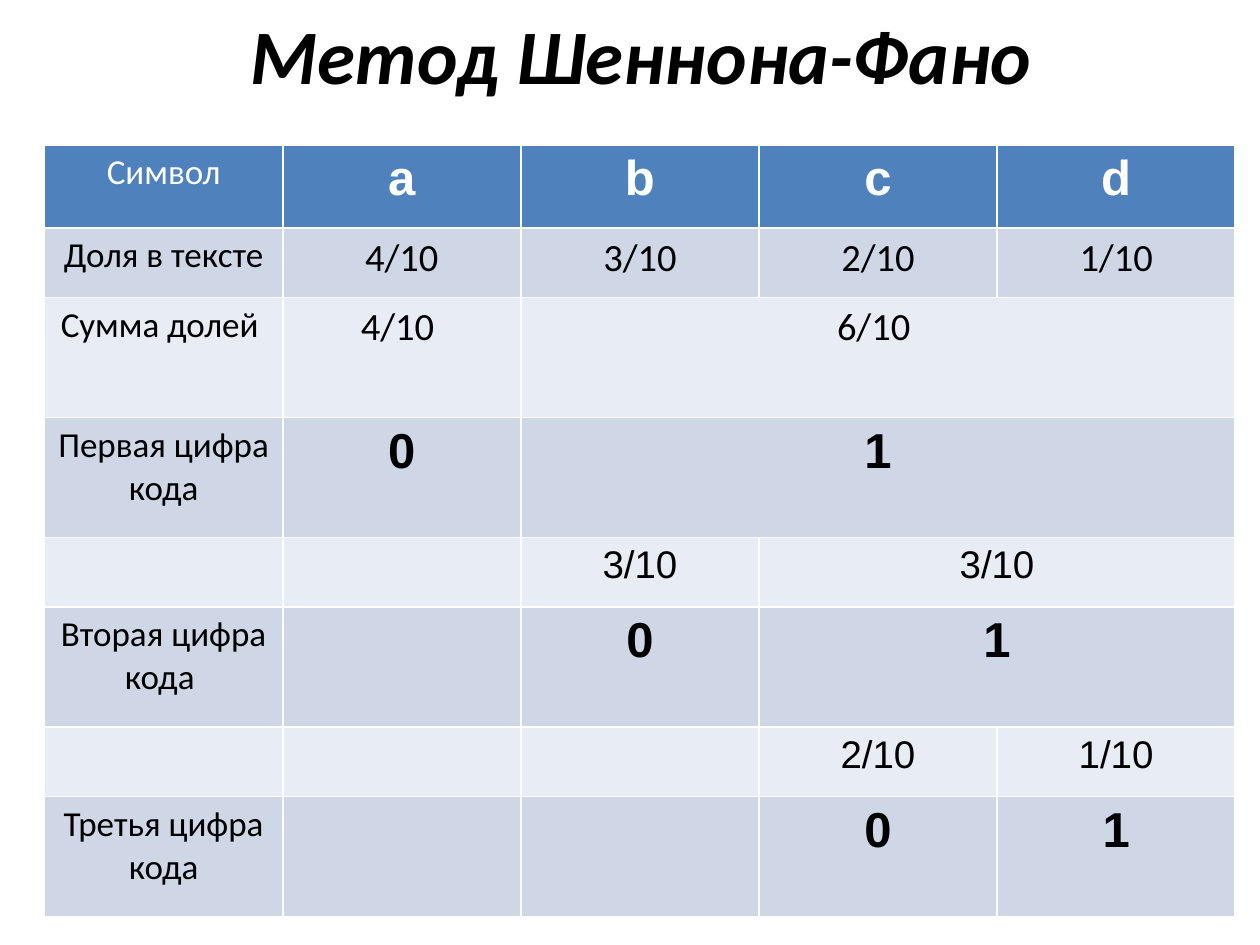
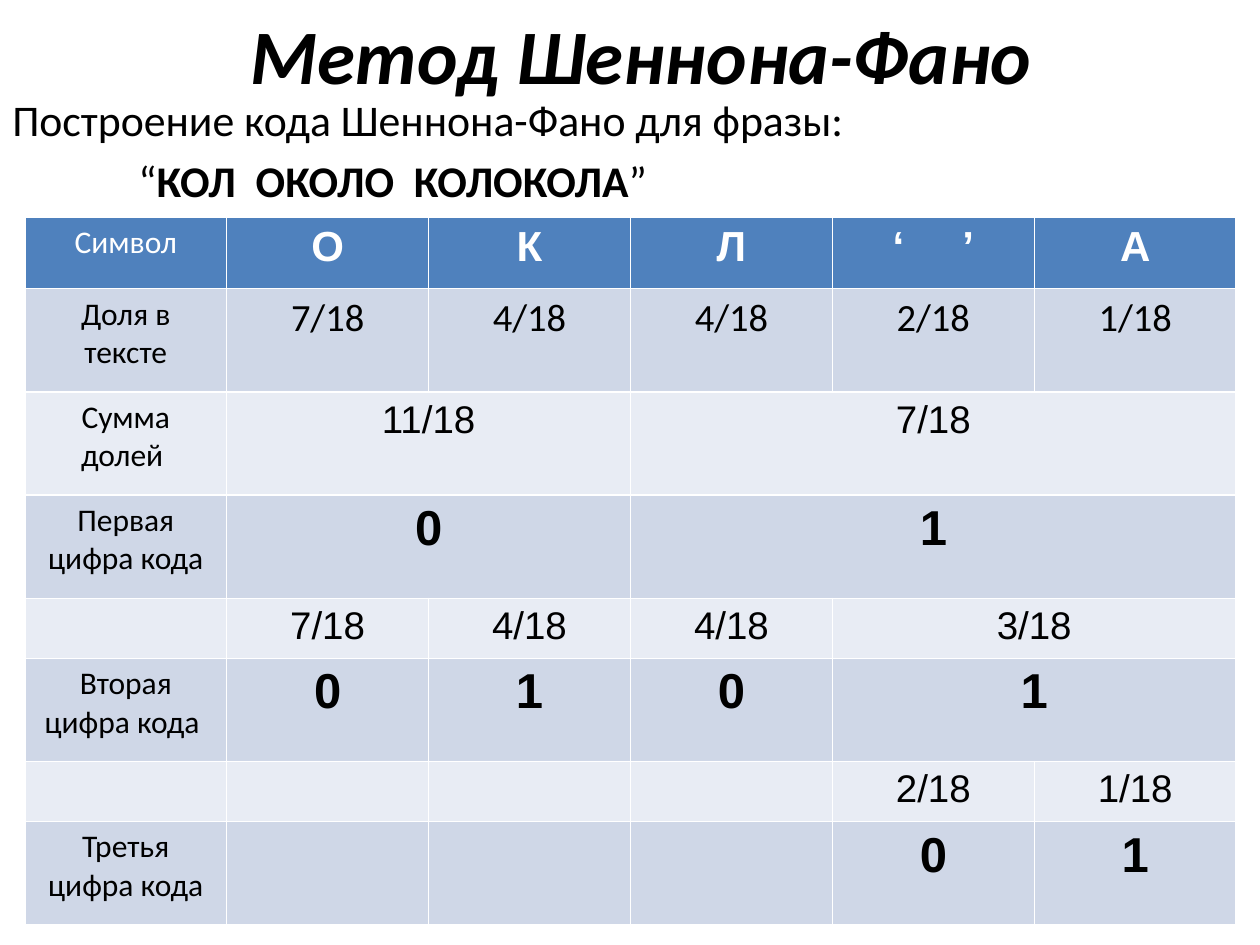
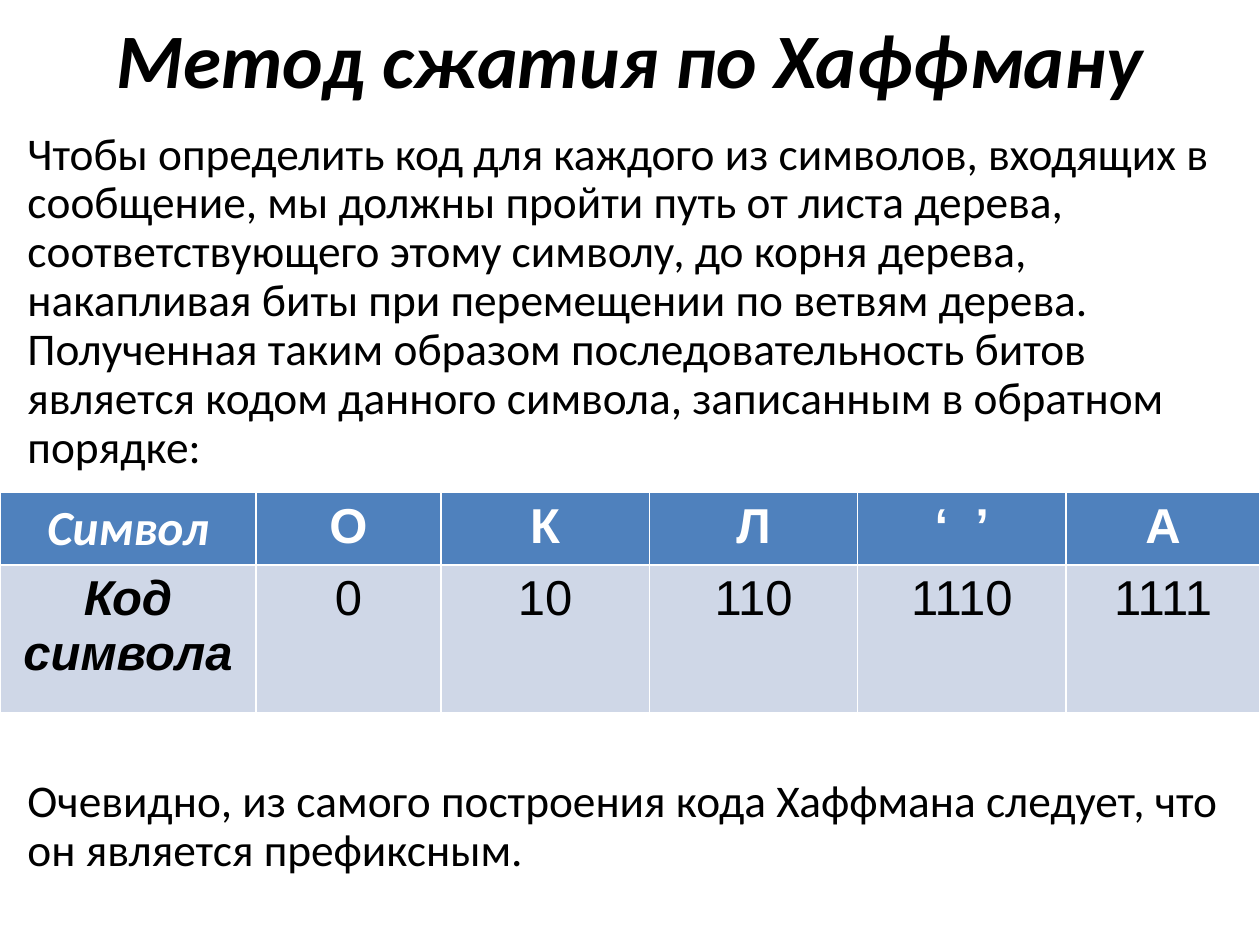
"""Builds three slides on Shannon-Fano and Huffman codes."""
import pptx
import pptx.dml.color
import pptx.enum.text
import pptx.util
from lxml import etree
from pptx.util import Cm, Pt

BLUE, DARK, PALE = "4F81BD", "CFD7E7", "E8ECF4"
WHITE, BLACK = "FFFFFF", "000000"
SANS, HEAD = "Arial", "Calibri"
MID = pptx.enum.text.PP_ALIGN.CENTER
NONE = pptx.enum.text.MSO_AUTO_SIZE.NONE
FANO = "Метод Шеннона-Фано"

LATIN = [
    ["Символ", "a", "b", "c", "d"],
    ["Доля в тексте", "4/10", "3/10", "2/10", "1/10"],
    ["Сумма долей ", "4/10 ", "6/10 ", None, None],
    ["Первая цифра кода", "0", "1", None, None],
    ["", "", "3/10", "3/10", None],
    ["Вторая цифра кода ", "", "0", "1", None],
    ["", "", "", "2/10", "1/10"],
    ["Третья цифра кода", "", "", "0", "1"],
]
PHRASE = [
    ["Символ", "О", "К", "Л", "‘     ’", "А"],
    ["Доля в тексте", "7/18", "4/18", "4/18", "2/18", "1/18"],
    ["Сумма долей ", "11/18", None, "7/18", None, None],
    ["Первая цифра кода", "0", None, "1", None, None],
    ["", "7/18", "4/18", "4/18", "3/18", None],
    ["Вторая цифра кода ", "0", "1", "0", "1", None],
    ["", "", "", "", "2/18", "1/18"],
    ["Третья цифра кода", "", "", "", "0", "1"],
]
CODES = [
    ["Символ", "О", "К", "Л", "‘  ’", "А"],
    ["Код символа", "0", "10", "110", "1110", "1111"],
]
PATH = (
    "Чтобы определить код для каждого из символов, входящих в сообщение, "
    "мы должны пройти путь от листа дерева, соответствующего этому символу, "
    "до корня дерева, накапливая биты при перемещении по ветвям дерева. "
    "Полученная таким образом последовательность битов является кодом "
    "данного символа, записанным в обратном порядке:"
)
PREFIX = ("Очевидно, из самого построения кода Хаффмана следует, "
          "что он является префиксным.")


def color(code):
    """Turn a hex string into a colour."""
    return pptx.dml.color.RGBColor.from_string(code)


def style(font, name, size, bold=None, slant=None, ink=BLACK):
    """Format a font."""
    font.name, font.size = name, Pt(size)
    font.bold, font.italic = bold, slant
    font.color.rgb = color(ink)


def place(shape, left, top, width, height):
    """Move and size a shape, in centimetres."""
    shape.left, shape.top = Cm(left), Cm(top)
    shape.width, shape.height = Cm(width), Cm(height)


def indent(para, left):
    """Set the left indent of a paragraph without a bullet."""
    props = para._p.get_or_add_pPr()
    props.set("marL", str(Cm(left)))
    props.set("indent", "0")
    etree.SubElement(props, pptx.oxml.ns.qn("a:buNone"))


def start(deck, layout, text, left, height):
    """Add a slide with a bold slanted title."""
    slide = deck.slides.add_slide(deck.slide_layouts[layout])
    title = slide.shapes.title
    place(title, left, 0, 22.86, height)
    title.text_frame.text = text
    title.text_frame.auto_size = NONE
    para = title.text_frame.paragraphs[0]
    para.alignment = MID
    style(para.font, HEAD, 44, True, True)
    return slide


def grid(slide, data, left, top, widths, heights, look):
    """Add a table where None continues the cell to its left."""
    frame = slide.shapes.add_table(
        len(data), len(widths), Cm(left), Cm(top),
        Cm(sum(widths)), Cm(sum(heights)))
    table = frame.table
    for col, width in zip(table.columns, widths):
        col.width = Cm(width)
    for row, height in zip(table.rows, heights):
        row.height = Cm(height)
    for r, line in enumerate(data):
        for c, text in enumerate(line):
            cell = table.cell(r, c)
            cell.fill.solid()
            cell.fill.fore_color.rgb = color(
                BLUE if r == 0 else DARK if r % 2 else PALE)
            if text:
                cell.text = text
                para = cell.text_frame.paragraphs[0]
                para.alignment = MID
                style(para.font, *look(r, c, text),
                      ink=BLACK if r else WHITE)
        join(table, r, line)


def join(table, r, line):
    """Merge each cell of a row with the None cells after it."""
    first = 0
    for c, text in enumerate(line):
        if text is not None:
            first = c
        elif c + 1 == len(line) or line[c + 1] is not None:
            table.cell(r, first).merge(table.cell(r, c))


def fano(label, head, last):
    """Give the look of a Shannon-Fano table, with Calibri shares to row last."""
    def look(r, c, text):
        """Choose font, size, bold and italic for a cell."""
        if c == 0:
            return HEAD, label, False, False
        if r == 0:
            return SANS, head, True, False
        if text in ("0", "1"):
            return SANS, 28, True, False
        return HEAD if r <= last else SANS, 22, False, False
    return look


def codes(r, c, text):
    """Choose font, size, bold and italic for a cell of the code table."""
    return HEAD if r == c == 0 else SANS, 28, r == 0 or c == 0, c == 0


def phrase(slide):
    """Add the phrase that is to be coded."""
    box = slide.shapes.add_textbox(Cm(0), Cm(1.75), Cm(25.4), Cm(2.62))
    frame = box.text_frame
    frame.word_wrap = True
    frame.text = "Построение кода Шеннона-Фано для фразы:"
    quote = frame.add_paragraph()
    indent(quote, 2.54)
    quote.space_before = Pt(5)
    for text in ("“", "КОЛ  ОКОЛО  КОЛОКОЛА", "”"):
        run = quote.add_run()
        run.text = text
        run.font.bold = len(text) > 1
    for para in frame.paragraphs:
        style(para.font, HEAD, 25)


def story(slide):
    """Fill the body with the text above and below the code table."""
    body = slide.placeholders[1]
    place(body, 0.3, 2.51, 24.8, 16.54)
    frame = body.text_frame
    frame.auto_size = NONE
    frame.text = PATH
    frame.add_paragraph().text = PREFIX
    for para, gap in zip(frame.paragraphs, (0, 174)):
        para.line_spacing = 0.9
        para.space_before = Pt(gap)
        indent(para, 0)
        style(para.font, HEAD, 25.9)


def main():
    """Build and save the deck."""
    deck = pptx.Presentation()
    deck.slide_width, deck.slide_height = Cm(25.4), Cm(19.05)

    slide = start(deck, 5, FANO, 1.5, 2.16)
    grid(slide, LATIN, 0.9, 2.92, [4.8] * 5,
         [1.68, 1.4, 2.42, 2.42, 1.4, 2.42, 1.4, 2.42], fano(20, 28, 2))

    slide = start(deck, 5, FANO, 1.5, 2.16)
    grid(slide, PHRASE, 0.5, 4.37, [4.07] * 6,
         [1.45, 2.08, 2.08, 2.08, 1.21, 2.08, 1.21, 2.08], fano(18, 24, 1))
    phrase(slide)

    slide = start(deck, 1, "Метод сжатия по Хаффману", 1.27, 2.34)
    story(slide)
    grid(slide, CODES, 0, 9.93, [5.16, 3.73, 4.2, 4.2, 4.2, 3.91],
         [1.45, 2.98], codes)
    deck.save("out.pptx")


if __name__ == "__main__":
    main()
